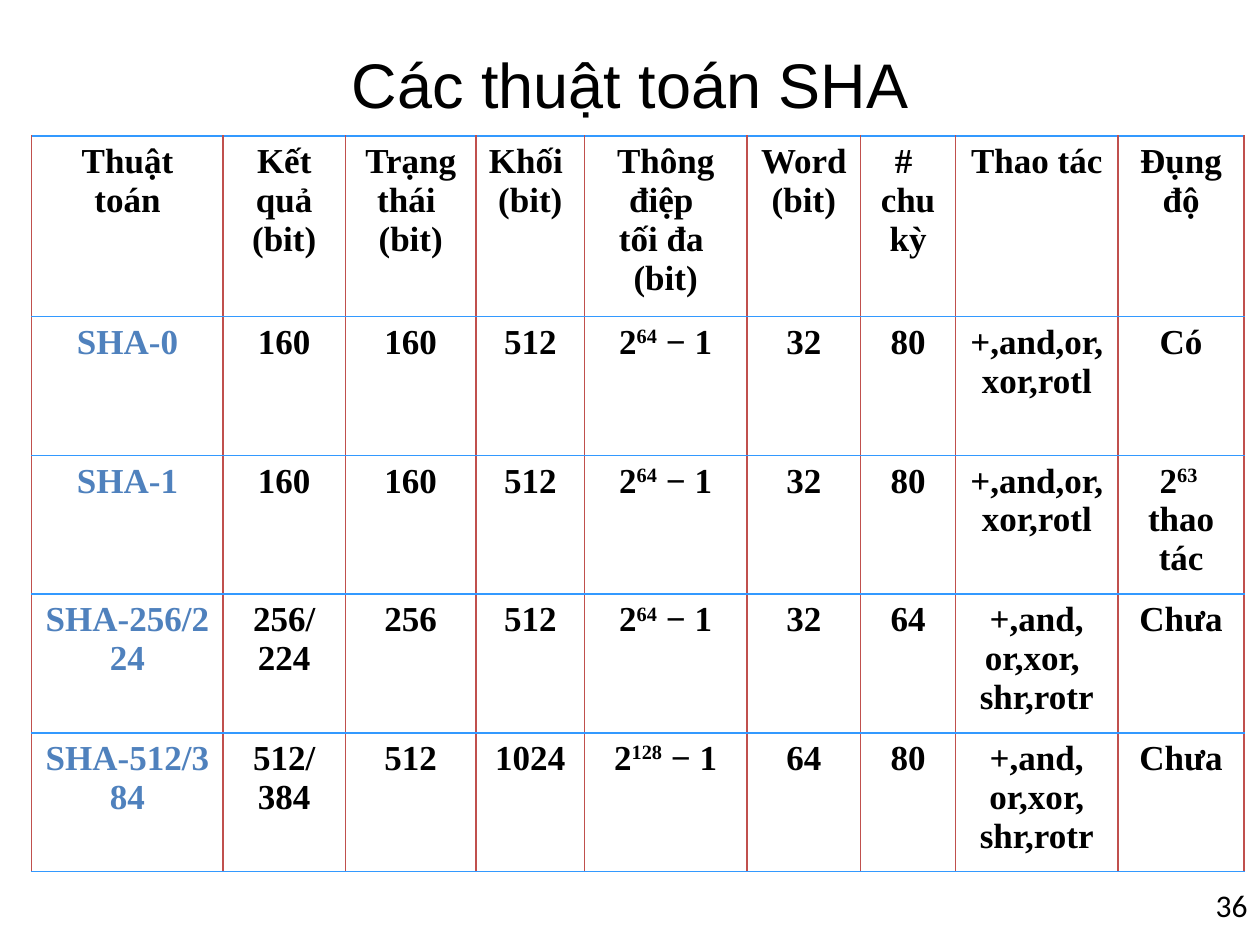
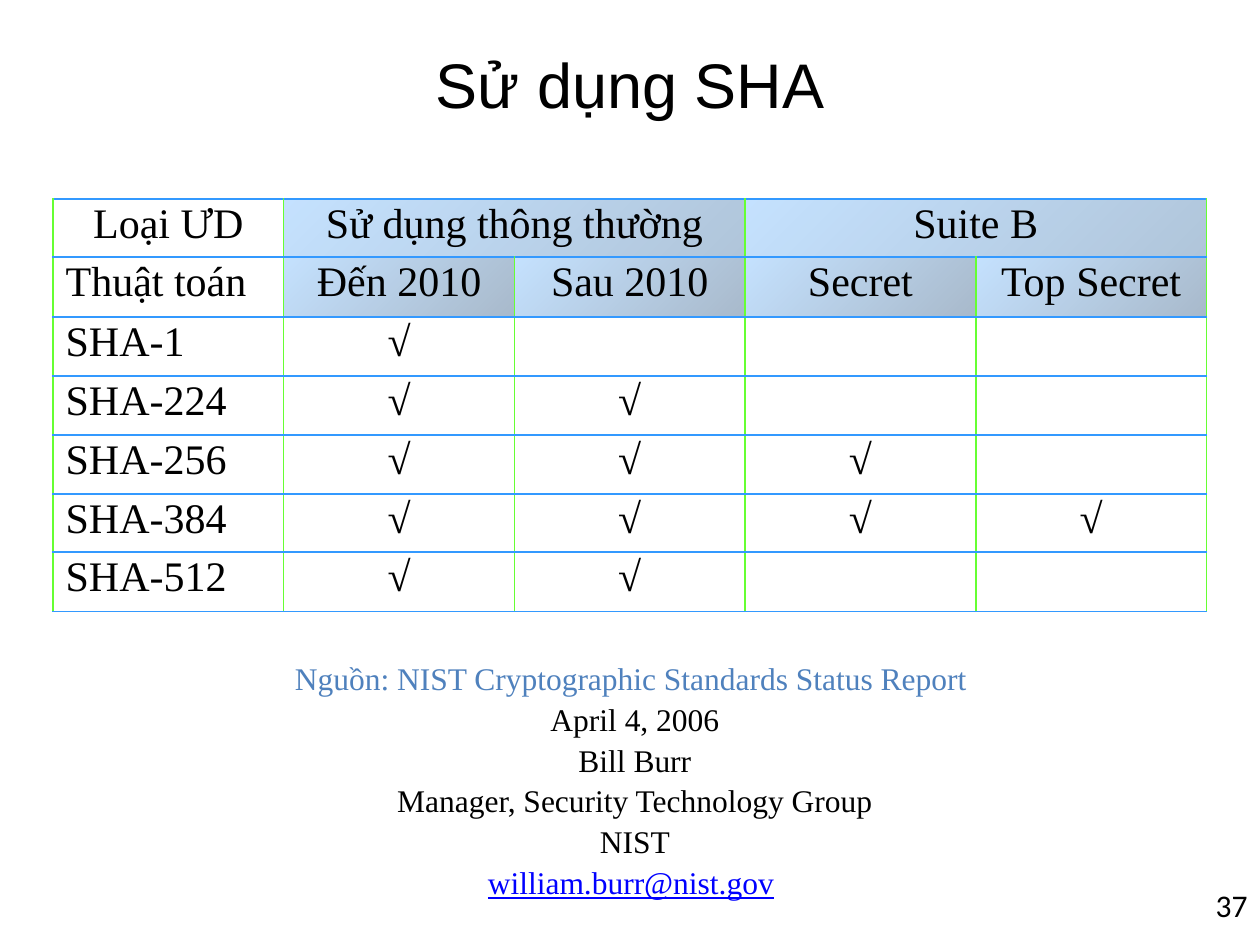
from lxml import etree
from pptx import Presentation
from pptx import util as u
from pptx.dml.color import RGBColor
from pptx.enum import text
from pptx.oxml import parse_xml
from pptx.oxml.ns import nsdecls, qn

Cm, Pt = u.Cm, u.Pt
BLACK = RGBColor(0x00, 0x00, 0x00)
ACCENT = RGBColor(0x4F, 0x81, 0xBD)
MAIL = RGBColor(0x00, 0x00, 0xFF)
ROW_LINE = RGBColor(0x33, 0x99, 0xFF)
RED_LINE = RGBColor(0xC0, 0x50, 0x4D)
GREEN_LINE = RGBColor(0x66, 0xFF, 0x33)
SKY = RGBColor(0x8B, 0xC5, 0xFF)
GROUP_END = RGBColor(0x63, 0x8D, 0xB6)
PERIOD_END = RGBColor(0x53, 0x75, 0x98)
SERIF = "Times New Roman"
CENTER = text.PP_ALIGN.CENTER


def write(tf, content, size=18, font=SERIF, color=BLACK, bold=False, underline=False,
          align=CENTER, spacing=None, new=False):
    """Add paragraphs split at newlines; \\v breaks a line and ^...^ is superscript.

    With new=False the text continues the last paragraph.
    """
    for i, line in enumerate(content.split("\n")):
        p = tf.add_paragraph() if i or new else tf.paragraphs[-1]
        p.alignment = align
        p.line_spacing = spacing
        for j, part in enumerate(line.split("\v")):
            if j:
                p.add_line_break()
            for k, piece in enumerate(part.split("^")):
                if not piece:
                    continue
                r = p.add_run()
                r.text = piece
                r.font.name, r.font.size = font, Pt(size)
                r.font.bold, r.font.underline = bold, underline
                r.font.color.rgb = color
                if k % 2:
                    r.font._element.set("baseline", "30000")


def make_table(s, left, top, widths, heights, side_color):
    """Add an unstyled table with coloured cell borders."""
    shape = s.shapes.add_table(len(heights), len(widths), Cm(left), Cm(top),
                               Cm(sum(widths)), Cm(sum(heights)))
    table = shape.table
    table.first_row = table.horz_banding = False
    for column, width in zip(table.columns, widths):
        column.width = Cm(width)
    for row, height in zip(table.rows, heights):
        row.height = Cm(height)
    for cell in table.iter_cells():
        cell.fill.background()
        tc_pr = cell._tc.get_or_add_tcPr()
        for i, side in enumerate("LRTB"):
            color = side_color if side in "LR" else ROW_LINE
            tc_pr.insert(i, parse_xml(
                f'<a:ln{side} {nsdecls("a")} w="12700"><a:solidFill>'
                f'<a:srgbClr val="{color}"/></a:solidFill></a:ln{side}>'))
    return table


prs = Presentation()
prs.slide_width, prs.slide_height = Cm(25.4), Cm(19.05)

slides = []
for number, title in ((36, "Các thuật toán SHA"), (37, "Sử dụng SHA")):
    s = prs.slides.add_slide(prs.slide_layouts[5])
    sp = s.shapes.title
    sp.left, sp.top, sp.width, sp.height = Cm(1.07), Cm(0.94), Cm(23.27), Cm(1.47)
    sp.text_frame.vertical_anchor = text.MSO_ANCHOR.MIDDLE
    sp.text_frame.auto_size = text.MSO_AUTO_SIZE.NONE
    write(sp.text_frame, title, size=36, font="Arial")
    sp = s.shapes.add_textbox(Cm(19.48), Cm(17.73), Cm(5.92), Cm(1.32))
    sp.text_frame.word_wrap = True
    write(sp.text_frame, str(number), font="Calibri", align=text.PP_ALIGN.RIGHT)
    slides.append(s)
algorithms, usage = slides

# Slide 36: properties of each algorithm
ROTL = "+,and,or,\nxor,rotl"
properties = [
    ["Thuật toán", "Kết quả\n(bit)", "Trạng thái \n(bit)", "Khối \n(bit)",
     "Thông điệp \ntối đa \n(bit)", "Word \n(bit)", "# \nchu kỳ", "Thao tác", "Đụng độ"],
    ["SHA-0", "160", "160", "512", "2^64^ − 1", "32", "80", ROTL, "Có"],
    ["SHA-1", "160", "160", "512", "2^64^ − 1", "32", "80", ROTL, "2^63 ^\nthao tác"],
    ["SHA-256/224", "256/\n224", "256", "512", "2^64^ − 1", "32", "64",
     "+,and,\nor,xor, \nshr,rotr", "Chưa"],
    ["SHA-512/384", "512/\n384", "512", "1024", "2^128^ − 1", "64", "80",
     "+,and,\nor,xor,\nshr,rotr", "Chưa"],
]
table = make_table(algorithms, 0.64, 2.74,
                   [3.86, 2.46, 2.64, 2.18, 3.28, 2.29, 1.91, 3.28, 2.54],
                   [3.39, 2.8, 2.61, 2.61, 2.61], RED_LINE)
for i, row in enumerate(properties):
    for j, value in enumerate(row):
        write(table.cell(i, j).text_frame, value, size=20, bold=True,
              color=ACCENT if i and not j else BLACK)

# Slide 37: where each algorithm may be used
table = make_table(usage, 1.07, 4.01, [4.65] * 5,
                   [1.1, 1.21, 1.19, 1.19, 1.19, 1.09, 1.2], GREEN_LINE)
for i, end in enumerate((GROUP_END, PERIOD_END)):
    for j in range(1, 5):
        tc_pr = table.cell(i, j)._tc.tcPr
        tc_pr.remove(tc_pr.find(qn("a:noFill")))
        grad = etree.SubElement(tc_pr, qn("a:gradFill"), rotWithShape="1")
        stops = etree.SubElement(grad, qn("a:gsLst"))
        for pos, color in (("0", SKY), ("100000", end)):
            stop = etree.SubElement(stops, qn("a:gs"), pos=pos)
            clr = etree.SubElement(stop, qn("a:srgbClr"), val=str(color))
            etree.SubElement(clr, qn("a:alpha"), val="50000")
        etree.SubElement(grad, qn("a:lin"), ang="2700000", scaled="1")
for j in (1, 3):
    table.cell(0, j).merge(table.cell(0, j + 1))

rows = [["Loại ƯD", "Sử dụng thông thường", "", "Suite B"],
        ["Thuật toán", "Đến 2010", "Sau 2010", "Secret", "Top Secret"]]
for bits, checks in ((1, 1), (224, 2), (256, 3), (384, 4), (512, 2)):
    rows.append([f"SHA-{bits}"] + ["√"] * checks)
for i, row in enumerate(rows):
    for j, value in enumerate(row):
        if value:
            write(table.cell(i, j).text_frame, value, size=24, spacing=0.9,
                  bold=value == "√",
                  align=text.PP_ALIGN.LEFT if i and not j else CENTER)

tf = usage.shapes.add_textbox(Cm(2.54), Cm(13.1), Cm(20.52), Cm(5.33)).text_frame
tf.word_wrap = True
write(tf, "Nguồn: NIST Cryptographic Standards Status Report ", color=ACCENT, spacing=1.08)
write(tf, "April 4, 2006\nBill Burr\vManager, Security Technology Group\vNIST\v",
      spacing=1.08, new=True)
write(tf, "william.burr@nist.gov", color=MAIL, underline=True, spacing=1.08)
write(tf, " ", spacing=1.08)

prs.save("out.pptx")
